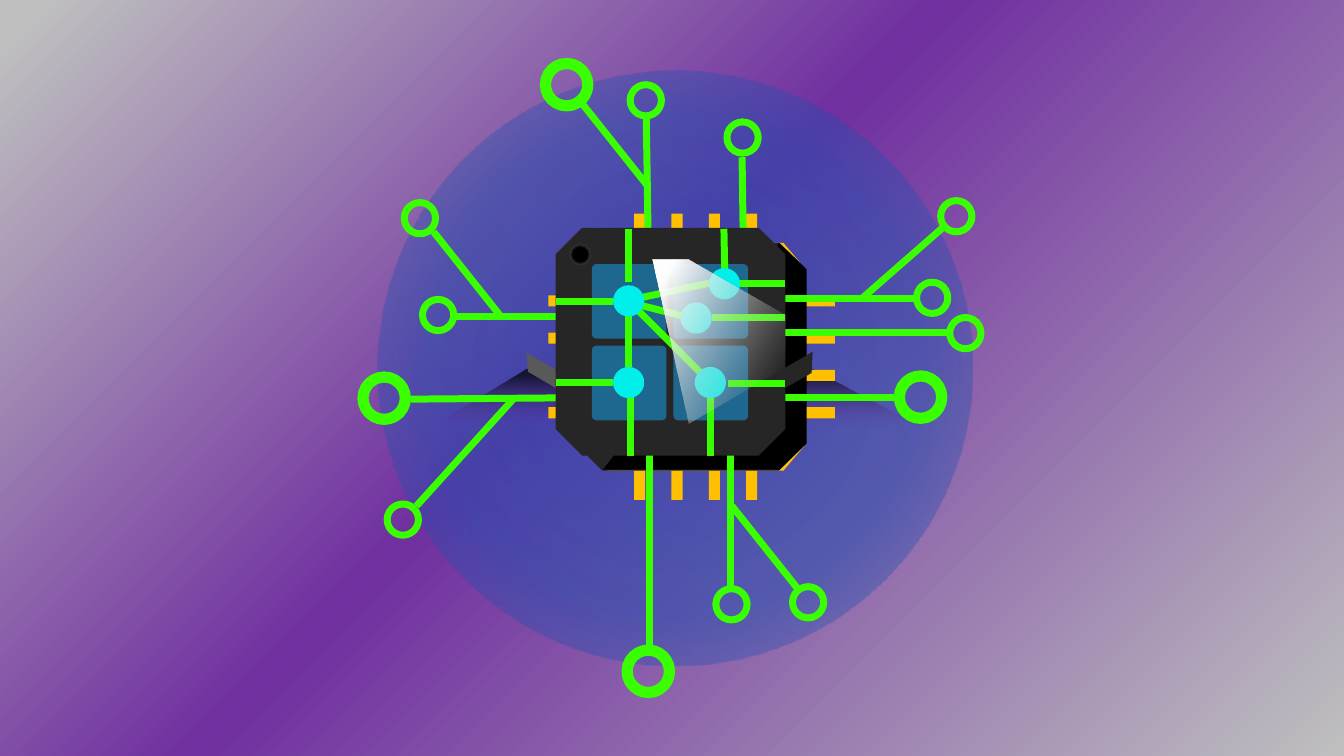
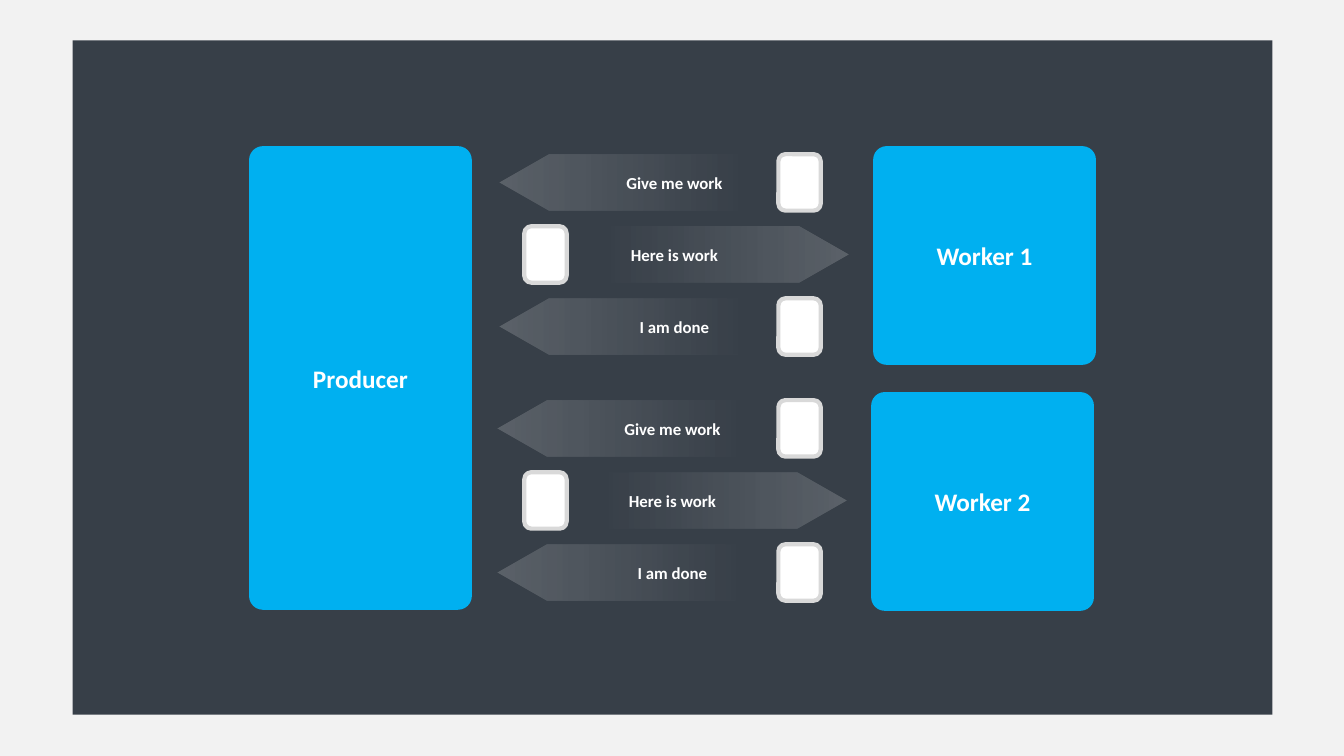
from lxml.etree import SubElement
from pptx import Presentation
from pptx.dml.color import RGBColor
from pptx.enum.shapes import MSO_CONNECTOR, MSO_SHAPE
from pptx.enum.text import MSO_ANCHOR, PP_ALIGN
from pptx.oxml import parse_xml
from pptx.oxml.ns import nsdecls, qn
from pptx.util import Inches, Pt

COLORS = {
    "grey": "BFBFBF", "purple": "7030A0", "glow": "2050B0", "black": "000000",
    "gold": "FEC000", "chip": "262626", "tile": "17AEFF", "rim": "404040",
    "trace": "3AFF00", "node": "00EFEA", "flap": "595959", "white": "FFFFFF",
    "page": "F2F2F2", "panel": "373F48", "box": "00B0F0", "border": "D9D9D9",
}
FONT = "Calibri"
NODE = 0.31

TRACES = [
    (8.9, 3.94, 7.25, 3.94), (9.42, 3.3, 7.14, 3.3), (9.09, 2.96, 7.39, 2.96),
    (6.41, 1.18, 6.44, 3.1), (6.44, 3.96, 6.44, 6.45), (7.25, 3.96, 7.25, 5.82),
    (7.36, 1.56, 7.38, 2.95), (6.42, 3.14, 4.52, 3.14), (6.42, 3.94, 4.07, 3.96),
    (4.96, 3.13, 4.3, 2.3), (6.42, 1.84, 5.76, 1.01), (7.92, 5.85, 7.26, 5.02),
    (8.55, 2.96, 9.36, 2.25), (4.13, 5.02, 5.09, 3.96),
]
SMALL_RINGS = [
    (9.33, 1.99), (9.42, 3.15), (7.86, 5.82), (7.1, 5.84), (9.09, 2.8),
    (7.21, 1.21), (4.01, 2.01), (4.19, 2.97), (6.25, 0.84), (3.84, 5),
]
LARGE_RINGS = [(5.41, 0.63), (3.6, 3.74), (8.92, 3.73), (6.22, 6.45)]
FACE_NODES = [(0.57, 0.57), (1.24, 0.74), (1.52, 0.4), (0.57, 1.38), (1.38, 1.38)]
FACE_LINKS = [
    (0.72, 0.72, 1.43, 1.43), (0.72, 1.38, 0.72, 0.74),
    (0.73, 0.74, 1.36, 0.9), (0.72, 0.72, 1.52, 0.55),
]
FACE_STUBS = [
    (0, 0.73, 0.57, 0.73), (0, 1.53, 0.57, 1.53), (1.71, 1.54, 2.28, 1.54),
    (1.55, 0.89, 2.28, 0.89), (1.71, 0.55, 2.28, 0.55), (0.72, 0.54, 0.72, 0.01),
    (1.68, 0.54, 1.67, 0.01), (1.54, 2.26, 1.54, 1.66), (0.74, 2.26, 0.74, 1.66),
]


def rgb(name):
    """Return a palette colour."""
    return RGBColor.from_string(COLORS[name])


def fade(el, alpha):
    """Give the first colour inside an element an opacity in percent."""
    SubElement(el.find(".//" + qn("a:srgbClr")), qn("a:alpha"), val=str(alpha * 1000))


def gradient(fill, props, stops, angle=None, focus=None):
    """Fill with (position, colour, opacity) stops, along an angle or around a focus."""
    fill.solid()
    marks = "".join(
        f'<a:gs pos="{pos * 1000}"><a:srgbClr val="{COLORS[name]}">'
        f'<a:alpha val="{alpha * 1000}"/></a:srgbClr></a:gs>'
        for pos, name, alpha in stops)
    if focus:
        sides = " ".join(f'{k}="{v * 1000}"' for k, v in zip("ltrb", focus))
        way = f'<a:path path="circle"><a:fillToRect {sides}/></a:path>'
    else:
        way = f'<a:lin ang="{angle * 60000}" scaled="0"/>'
    new = parse_xml(f'<a:gradFill rotWithShape="1" {nsdecls("a")}>'
                    f"<a:gsLst>{marks}</a:gsLst>{way}</a:gradFill>")
    props.replace(props.find(qn("a:solidFill")), new)


def style(sp, fill=None, alpha=None, line=None, width=1):
    """Set the fill and outline of a shape, without shadow."""
    sp.shadow.inherit = False
    if fill:
        sp.fill.solid()
        sp.fill.fore_color.rgb = rgb(fill)
        if alpha is not None:
            fade(sp.element.spPr, alpha)
    else:
        sp.fill.background()
    if line:
        sp.line.color.rgb = rgb(line)
        sp.line.width = Pt(width)
    else:
        sp.line.fill.background()
    return sp


def shape(s, kind, x, y, w, h, adj=None, **look):
    """Add a preset shape."""
    sp = s.shapes.add_shape(kind, Inches(x), Inches(y), Inches(w), Inches(h))
    if adj is not None:
        sp.adjustments[0] = adj
    return style(sp, **look)


def outline(s, points, **look):
    """Add a closed freeform through the points."""
    pts = [(Inches(x), Inches(y)) for x, y in points]
    fb = s.shapes.build_freeform(*pts[0])
    fb.add_line_segments(pts[1:], close=True)
    return style(fb.convert_to_shape(), **look)


def trace(s, x1, y1, x2, y2):
    """Add one circuit trace."""
    c = s.shapes.add_connector(MSO_CONNECTOR.STRAIGHT, Inches(x1), Inches(y1),
                               Inches(x2), Inches(y2))
    c.line.color.rgb = rgb("trace")
    c.line.width = Pt(5)
    SubElement(c.element.spPr, qn("a:effectLst"))


def write(sp, text, size=18, color="white", bold=True):
    """Put centred text in a shape."""
    tf = sp.text_frame
    tf.word_wrap = True
    tf.vertical_anchor = MSO_ANCHOR.MIDDLE
    p = tf.paragraphs[0]
    p.alignment = PP_ALIGN.CENTER
    r = p.add_run()
    r.text = text
    r.font.name, r.font.size, r.font.bold = FONT, Pt(size), bold
    r.font.color.rgb = rgb(color)


def pins(s, cx, cy):
    """Draw the chip base with four pins on each side."""
    side = [(-0.87, -1.13)]
    for i in range(4):
        a = -0.61 + 0.37 * i
        side += [(a, -1.13), (a, -1.42), (a + 0.11, -1.42), (a + 0.11, -1.13)]
    side.append((0.87, -1.13))
    points = []
    for turn in range(4):
        shift = 0 if turn % 2 else 0.04
        points += [(cx + x + shift, cy + y) for x, y in side]
        side = [(-y, x) for x, y in side]
    outline(s, points, fill="gold")


def chip_face(s, x, y, stubs=()):
    """Draw a chip face with tiles, links and nodes."""
    shape(s, MSO_SHAPE.OCTAGON, x, y, 2.28, 2.26, adj=0.117, fill="chip")
    for i in range(4):
        shape(s, MSO_SHAPE.ROUNDED_RECTANGLE, x + 0.36 + 0.81 * (i % 2),
              y + 0.36 + 0.81 * (i // 2), 0.74, 0.74, adj=0.062, fill="tile", alpha=49)
    dot = shape(s, MSO_SHAPE.OVAL, x + 0.15, y + 0.17, 0.19, 0.19,
                fill="black", line="rim", width=2)
    fade(dot.element.spPr.find(qn("a:ln")), 41)
    for x1, y1, x2, y2 in [*FACE_LINKS, *stubs]:
        trace(s, x + x1, y + y1, x + x2, y + y2)
    for dx, dy in FACE_NODES:
        shape(s, MSO_SHAPE.OVAL, x + dx, y + dy, NODE, NODE, fill="node")


def traces(s):
    """Draw the traces around the chip and their end rings."""
    for ends in TRACES:
        trace(s, *ends)
    for rings, size, width in ((SMALL_RINGS, NODE, 5), (LARGE_RINGS, 0.42, 8)):
        for x, y in rings:
            shape(s, MSO_SHAPE.OVAL, x, y, size, size, line="trace", width=width)


def chip_slide(s):
    """Build the slide with the processor."""
    fill = s.background.fill
    fill.solid()
    gradient(fill, s.element.find(".//" + qn("p:bgPr")),
             [(0, "grey", 100), (55, "purple", 100), (98, "grey", 100)],
             focus=(100, 100, 0, 0))
    glow = shape(s, MSO_SHAPE.OVAL, 3.75, 0.7, 5.9, 5.9)
    gradient(glow.fill, glow.element.spPr,
             [(0, "glow", 60), (60, "glow", 50), (100, "glow", 0)],
             focus=(50, 50, 50, 50))
    shade = outline(s, [(5.22, 3.67), (8.06, 3.67), (9.13, 4.23), (4.28, 4.23)])
    gradient(shade.fill, shade.element.spPr,
             [(11, "black", 68), (98, "purple", 0)], angle=90)
    pins(s, 6.86, 3.54)
    chip_face(s, 5.71, 2.41)
    outline(s, [(5.98, 4.66), (7.73, 2.41), (8, 2.67), (8, 4.4), (7.73, 4.66)],
            fill="black")
    traces(s)
    outline(s, [(5.22, 3.5), (6.44, 4.2), (6.45, 4.4), (5.24, 3.69)], fill="flap")
    outline(s, [(8.06, 3.49), (6.82, 4.21), (6.82, 4.4), (8.05, 3.7)], fill="chip")
    chip_face(s, 5.51, 2.26, FACE_STUBS)
    glass = outline(s, [(6.47, 2.58), (6.83, 2.58), (7.79, 3.13), (7.79, 3.64),
                        (6.83, 4.2)])
    gradient(glass.fill, glass.element.spPr,
             [(10, "white", 100), (85, "grey", 0)], angle=30)


def message(s, x, y, text, to_right):
    """Draw one message arrow that fades towards its tail."""
    w, h, head = 3.46, 0.56, 0.49
    points = [(head, 0), (w, 0), (w, h), (head, h), (0, h / 2)]
    if to_right:
        points = [(w - px, py) for px, py in points]
    sp = outline(s, [(x + px, y + py) for px, py in points])
    gradient(sp.fill, sp.element.spPr, [(0, "white", 18), (69, "white", 0)],
             angle=180 if to_right else 0)
    write(sp, text, size=12)


def box(s, x, y, w, h, name):
    """Draw a named process box."""
    write(shape(s, MSO_SHAPE.ROUNDED_RECTANGLE, x, y, w, h, adj=0.062, fill="box"), name)


def exchange(s, x, y, worker):
    """Draw a worker and its three messages with their cards."""
    box(s, x + 3.7, y - 0.08, 2.21, 2.17, worker)
    for i, text in enumerate(["Give me work", "Here is work", "I am done"]):
        to_right = i == 1
        top = y + 0.715 * i
        message(s, x, top, text, to_right)
        shape(s, MSO_SHAPE.ROUNDED_RECTANGLE, 5.2 if to_right else 7.72, top,
              0.42, 0.56, fill="white", line="border", width=3)


def worker_slide(s):
    """Build the slide with the producer and its workers."""
    fill = s.background.fill
    fill.solid()
    fill.fore_color.rgb = rgb("page")
    shape(s, MSO_SHAPE.RECTANGLE, 0.72, 0.4, 11.9, 6.69, fill="panel")
    box(s, 2.47, 1.45, 2.21, 4.6, "Producer")
    exchange(s, 4.96, 1.53, "Worker 1")
    exchange(s, 4.94, 3.97, "Worker 2")


def main():
    """Build and save the presentation."""
    prs = Presentation()
    prs.slide_width, prs.slide_height = Inches(13.33), Inches(7.5)
    for build in (chip_slide, worker_slide):
        build(prs.slides.add_slide(prs.slide_layouts[6]))
    prs.save("out.pptx")


if __name__ == "__main__":
    main()
